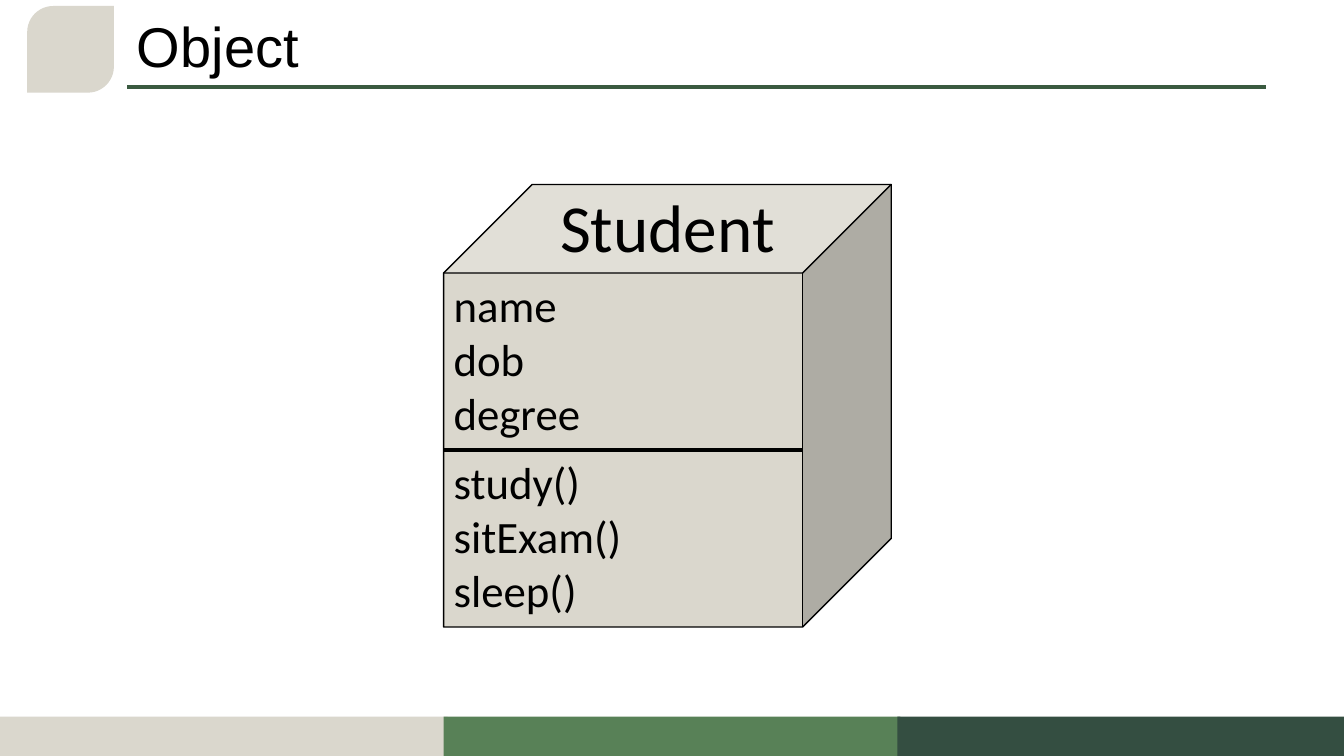
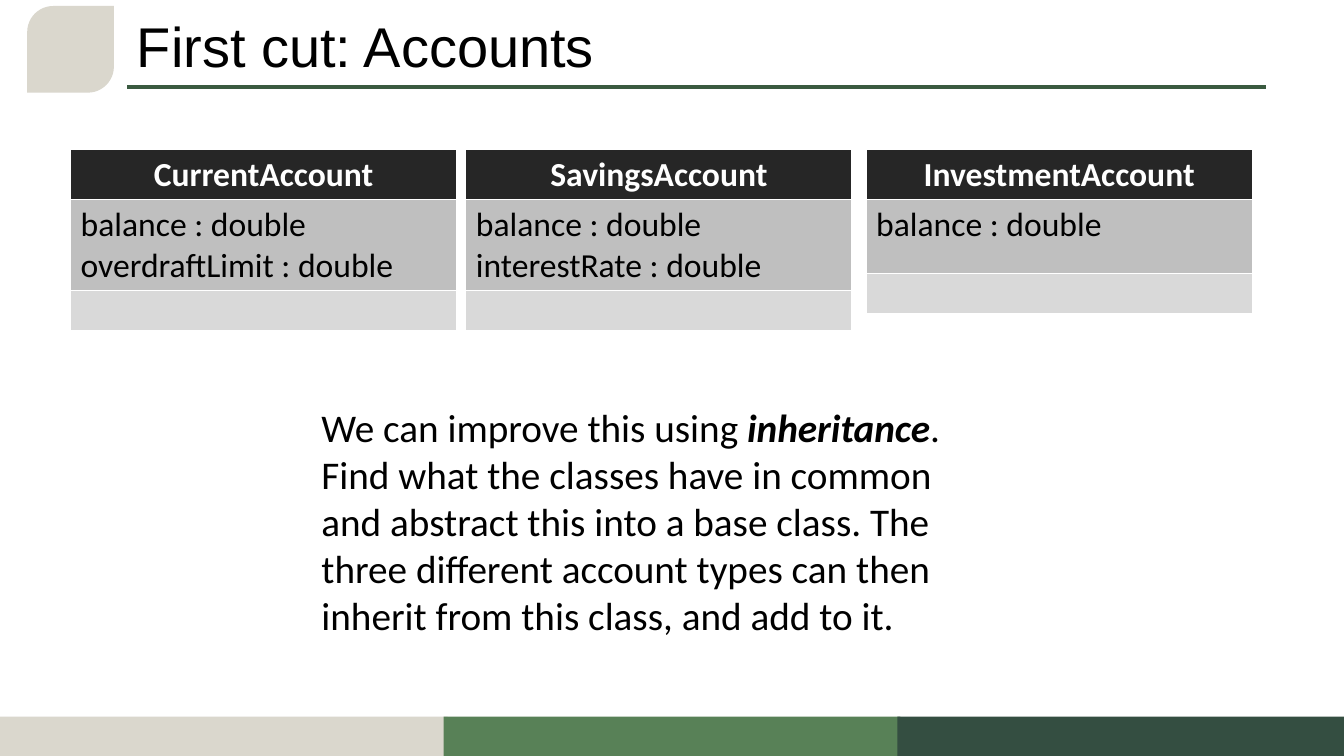
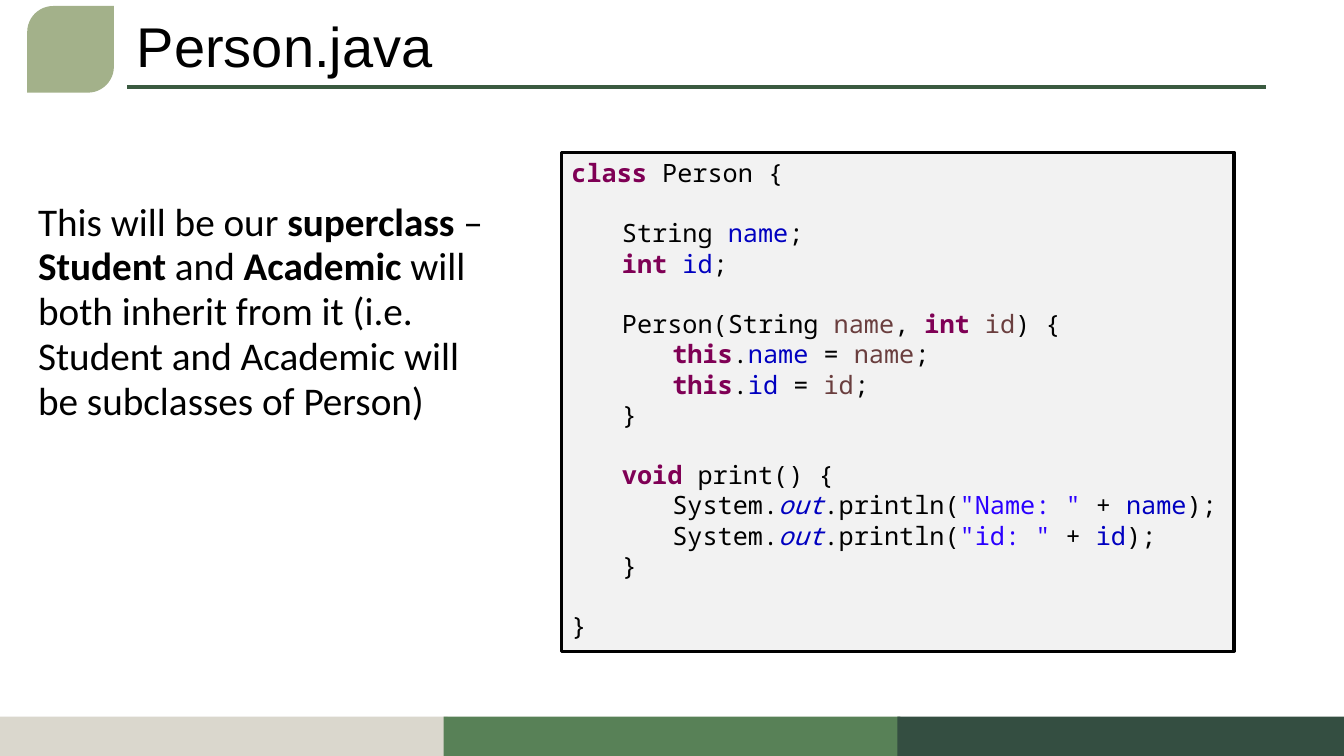
from lxml import etree
from pptx import Presentation
from pptx import util as u
from pptx.dml.color import RGBColor
from pptx.enum import shapes, text
from pptx.oxml import ns

WIDTH, HEIGHT = 13.33, 7.5
COLORS = {
    "black": "000000", "white": "FFFFFF", "sand": "DAD7CD", "sage": "A3B18A",
    "rule": "3A5A40", "green": "588157", "forest": "344E41",
    "header": "262626", "fields": "BFBFBF", "methods": "D9D9D9", "code": "F2F2F2",
    "keyword": "7F0055", "field": "0000C0", "parameter": "6A3E3E", "string": "2A00FF",
}
CODE_STYLES = {
    "plain": ("black", False, False),
    "keyword": ("keyword", True, False),
    "field": ("field", False, False),
    "static": ("field", False, True),
    "parameter": ("parameter", False, False),
    "string": ("string", False, False),
}
CODE_INDENT = 0.5
CODE_LINE = 21.6
FOOTER_BANDS = [(0, 4.44, "sand"), (4.4, 4.53, "green"), (8.9, 4.43, "forest")]


def rgb(name):
    """Return the named colour."""
    return RGBColor.from_string(COLORS[name])


def inches(box):
    """Convert a box of inches to lengths."""
    return [u.Inches(value) for value in box]


def set_font(font, name, size, color="black", bold=False, italic=False):
    """Set all the properties of a font."""
    font.name, font.size = name, u.Pt(size)
    font.bold, font.italic = bold, italic
    font.color.rgb = rgb(color)


def add_block(slide, kind, box, fill, line_width=0):
    """Add a filled preset shape with an optional black outline."""
    shape = slide.shapes.add_shape(kind, *inches(box))
    shape.shadow.inherit = False
    shape.fill.solid()
    shape.fill.fore_color.rgb = rgb(fill)
    if line_width:
        shape.line.color.rgb = rgb("black")
        shape.line.width = u.Pt(line_width)
    else:
        shape.line.fill.background()
    return shape


def add_rule(slide, left, top, width, color):
    """Add a horizontal 3 pt line."""
    line = slide.shapes.add_connector(
        shapes.MSO_CONNECTOR.STRAIGHT, *inches((left, top, left + width, top)))
    line.line.color.rgb = rgb(color)
    line.line.width = u.Pt(3)
    etree.SubElement(line._element.spPr, ns.qn("a:effectLst"))


def add_text(slide, box, paragraphs, size, name="Calibri", spacing=None,
             align=text.PP_ALIGN.LEFT, anchor=text.MSO_ANCHOR.TOP):
    """Add paragraphs, each a list of (words, bold, italic) runs."""
    frame = slide.shapes.add_textbox(*inches(box)).text_frame
    frame.word_wrap = True
    frame.vertical_anchor = anchor
    for index, runs in enumerate(paragraphs):
        paragraph = frame.add_paragraph() if index else frame.paragraphs[0]
        paragraph.alignment, paragraph.line_spacing = align, spacing
        set_font(paragraph.font, name, size)
        for words, bold, italic in runs:
            run = paragraph.add_run()
            run.text = words
            set_font(run.font, name, size, bold=bold, italic=italic)


def plain(*lines):
    """Return one regular run for each line."""
    return [[(line, False, False)] for line in lines]


def add_frame(presentation, title, leaf="sand"):
    """Add a slide with the shared title, leaf, rule and footer."""
    slide = presentation.slides.add_slide(presentation.slide_layouts[6])
    add_rule(slide, 1.26, 0.86, 11.3, "rule")
    add_text(slide, (1.26, 0.13, WIDTH - 1.26, 0.72), plain(title), 40, "Arial", 0.9,
             anchor=text.MSO_ANCHOR.MIDDLE)
    shape = add_block(slide, shapes.MSO_SHAPE.ROUND_2_DIAG_RECTANGLE,
                      (0.27, 0.06, 0.86, 0.86), leaf)
    shape.adjustments[0], shape.adjustments[1] = 0.3, 0
    for left, width, color in FOOTER_BANDS:
        add_block(slide, shapes.MSO_SHAPE.RECTANGLE, (left, 7.11, width, 0.39), color)
    return slide


def add_object_cube(slide, box, name, fields, methods):
    """Draw an object as a cube with its name on top and members in front."""
    left, top, width, height = box
    depth = 0.2 * min(width, height)
    front_width, half = width - depth, (height - depth) / 2
    cube = add_block(slide, shapes.MSO_SHAPE.CUBE, box, "sand", 1)
    cube.adjustments[0] = 0.2
    add_rule(slide, left, top + depth + half, front_width, "black")
    add_text(slide, (left, top - 0.03, width, depth), plain(name), 48,
             align=text.PP_ALIGN.CENTER, anchor=text.MSO_ANCHOR.MIDDLE)
    for row, members in enumerate((fields, methods)):
        add_text(slide, (left, top + depth + row * half, front_width, half),
                 plain(*members), 32)


def add_class_table(slide, left, top, name, fields):
    """Add a class table with a name row, a field row and an empty method row."""
    heights = (0.4, 0.73, 0.39)
    frame = slide.shapes.add_table(3, 1, *inches((left, top, 3.83, sum(heights))))
    table = frame.table
    table.horz_banding = False
    rows = [([name], "header", "white"), (fields, "fields", "black"), ([], "methods", "black")]
    for index, (lines, fill, color) in enumerate(rows):
        table.rows[index].height = u.Inches(heights[index])
        cell = table.cell(index, 0)
        cell.fill.solid()
        cell.fill.fore_color.rgb = rgb(fill)
        if not lines:
            continue
        cell.text = "\n".join(lines)
        for paragraph in cell.text_frame.paragraphs:
            set_font(paragraph.font, "Calibri", 24, color, bold=index == 0)
            paragraph.alignment = text.PP_ALIGN.LEFT if index else text.PP_ALIGN.CENTER


def add_code(slide, box, lines):
    """Add a code panel of (indent, blank lines before, runs) lines."""
    panel = add_block(slide, shapes.MSO_SHAPE.RECTANGLE, box, "code", 2.25)
    frame = panel.text_frame
    frame.word_wrap = True
    frame.vertical_anchor = text.MSO_ANCHOR.TOP
    for index, (indent, blanks, runs) in enumerate(lines):
        paragraph = frame.add_paragraph() if index else frame.paragraphs[0]
        paragraph.alignment = text.PP_ALIGN.LEFT
        paragraph.level = indent
        paragraph.space_before = u.Pt(blanks * CODE_LINE)
        properties = paragraph._p.get_or_add_pPr()
        properties.set("marL", str(u.Inches(indent * CODE_INDENT)))
        properties.set("indent", "0")
        for words, style in runs:
            run = paragraph.add_run()
            run.text = words
            set_font(run.font, "Noto Sans Mono", 18, *CODE_STYLES[style])


def assignment(name):
    """Return the runs that assign a parameter to its field."""
    return [("this", "keyword"), (".", "plain"), (name, "field"), (" = ", "plain"),
            (name, "parameter"), (";", "plain")]


def print_call(label, name):
    """Return the runs that print a labelled field."""
    return [("System.", "plain"), ("out", "static"), (".println(", "plain"),
            (label, "string"), (" + ", "plain"), (name, "field"), (");", "plain")]


def object_slide(presentation):
    """Build the slide on objects."""
    slide = add_frame(presentation, "Object")
    add_object_cube(slide, (4.4, 1.83, 4.44, 4.39), "Student",
                    ["name", "dob", "degree"], ["study()", "sitExam()", "sleep()"])


def accounts_slide(presentation):
    """Build the slide with the three account classes."""
    slide = add_frame(presentation, "First cut: Accounts")
    accounts = [
        (0.7, "CurrentAccount", ["overdraftLimit : double"]),
        (4.62, "SavingsAccount", ["interestRate : double"]),
        (8.59, "InvestmentAccount", []),
    ]
    for left, name, extra in accounts:
        add_class_table(slide, left, 1.48, name, ["balance : double"] + extra)
    add_text(slide, (3.09, 3.95, 6.67, 2.46), [[
        ("We can improve this using ", False, False),
        ("inheritance", True, True),
        (". Find what the classes have in common and abstract this into a base class. "
         "The three different account types can then inherit from this class, "
         "and add to it.", False, False),
    ]], 28)


def person_slide(presentation):
    """Build the slide with the code of the superclass."""
    slide = add_frame(presentation, "Person.java", "sage")
    closing = [("}", "plain")]
    add_code(slide, (5.57, 1.51, 6.67, 4.95), [
        (0, 0, [("class ", "keyword"), ("Person {", "plain")]),
        (1, 1, [("String ", "plain"), ("name", "field"), (";", "plain")]),
        (1, 0, [("int ", "keyword"), ("id", "field"), (";", "plain")]),
        (1, 1, [("Person(String ", "plain"), ("name", "parameter"), (", ", "plain"),
                ("int ", "keyword"), ("id", "parameter"), (") {", "plain")]),
        (2, 0, assignment("name")),
        (2, 0, assignment("id")),
        (1, 0, closing),
        (1, 1, [("void", "keyword"), (" print() {", "plain")]),
        (2, 0, print_call('"Name: "', "name")),
        (2, 0, print_call('"id: "', "id")),
        (1, 0, closing),
        (0, 1, closing),
    ])
    add_text(slide, (0.28, 1.94, 4.63, 1.9), [[
        ("This will be our ", False, False),
        ("superclass", True, False),
        (" – ", False, False),
        ("Student", True, False),
        (" and ", False, False),
        ("Academic", True, False),
        (" will both inherit from it (i.e. Student and Academic will be "
         "subclasses of Person)", False, False),
    ]], 28, spacing=0.95)


def main():
    """Build and save the presentation."""
    presentation = Presentation()
    presentation.slide_width, presentation.slide_height = inches((WIDTH, HEIGHT))
    for build in (object_slide, accounts_slide, person_slide):
        build(presentation)
    presentation.save("out.pptx")


if __name__ == "__main__":
    main()
